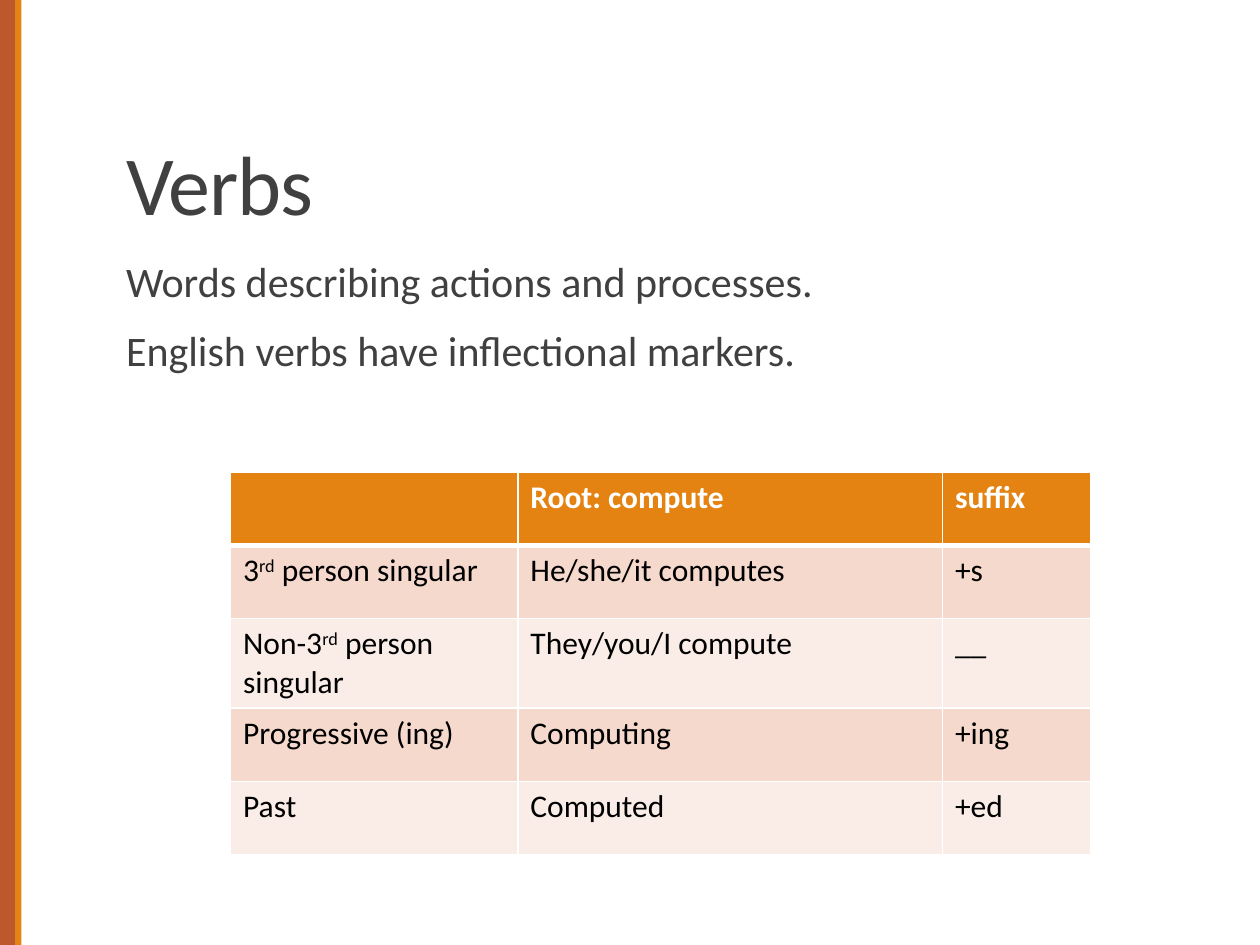
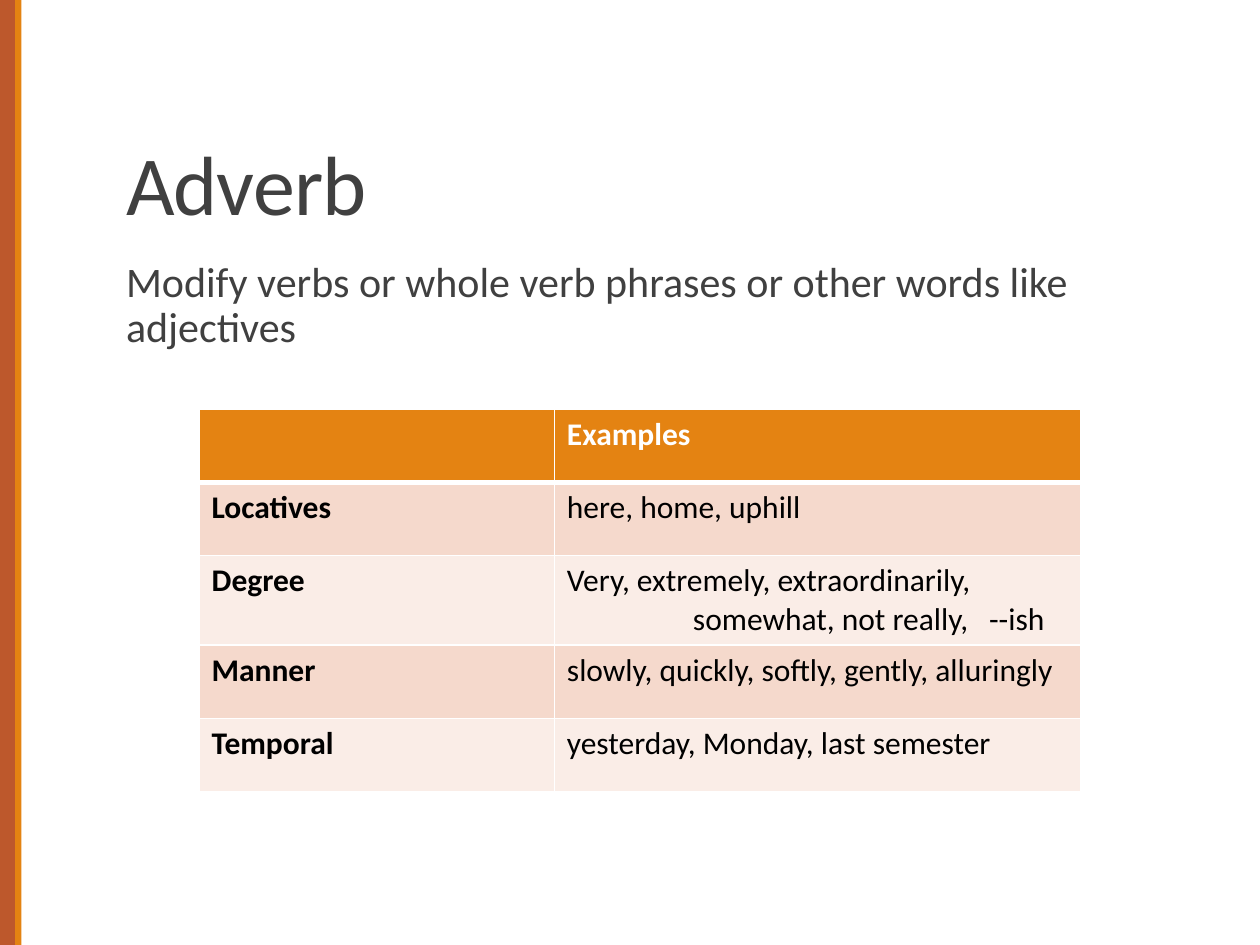
import pptx
import pptx.util
import pptx.dml.color
import pptx.enum.shapes
import pptx.enum.text
import pptx.oxml
import pptx.oxml.ns
from lxml import etree

Inches, Pt = pptx.util.Inches, pptx.util.Pt

# Content: ^ marks the start and end of superscript text
SLIDES = [
    {
        "title": "Verbs",
        "body": ["Words describing actions and processes.",
                 "English verbs have inflectional markers."],
        "body_size": (5.68, 4.4),
        "table_at": (1.83, 3.75),
        "columns": [2.28, 3.37, 1.18],
        "bold_labels": False,
        "rows": [
            ["", "Root: compute", "suffix"],
            ["3^rd^ person singular", "He/she/it computes", "+s"],
            ["Non-3^rd^ person singular", "They/you/I compute", "__"],
            ["Progressive (ing)", "Computing", "+ing"],
            ["Past", "Computed", "+ed"],
        ],
    },
    {
        "title": "Adverb",
        "body": ["Modify verbs or whole verb phrases or other words like adjectives"],
        "body_size": (7.77, 0.98),
        "table_at": (1.58, 3.25),
        "columns": [2.82, 4.18],
        "bold_labels": True,
        "rows": [
            ["", "Examples"],
            ["Locatives", "here, home, uphill"],
            ["Degree", "Very, extremely, extraordinarily,\n\tsomewhat, not really,\t--ish"],
            ["Manner", "slowly, quickly, softly, gently, alluringly"],
            ["Temporal", "yesterday, Monday, last semester"],
        ],
    },
]

# Shared look
FONT = "Calibri"
RUST, ORANGE, WHITE, BLACK, GREY = "BD582C", "E48312", "FFFFFF", "000000", "404040"
ROW_FILLS = ["F5D9CC", "FAEDE7"]
BANDS = [(0, 0.12, RUST), (0.12, 0.05, ORANGE)]
ROW_HEIGHT = 0.58
TAB_STOPS = [1, 3.35]


def rgb(value):
    return pptx.dml.color.RGBColor.from_string(value)


def set_all(target, values):
    for name, value in values.items():
        setattr(target, name, value)


def add_xml(parent, tag, **attributes):
    return etree.SubElement(parent, pptx.oxml.ns.qn(tag),
                            {k: str(v) for k, v in attributes.items()})


def place(sp, left, top, width, height):
    set_all(sp, {"left": Inches(left), "top": Inches(top),
                 "width": Inches(width), "height": Inches(height)})


def add_run(p, text, size, color, bold=False):
    r = p.add_run()
    r.text = text
    set_all(r.font, {"name": FONT, "size": Pt(size), "bold": bold})
    r.font.color.rgb = rgb(color)
    return r


def add_bands(s):
    for left, width, color in BANDS:
        sp = s.shapes.add_shape(pptx.enum.shapes.MSO_SHAPE.RECTANGLE,
                                Inches(left), 0, Inches(width), Inches(7.5))
        sp.shadow.inherit = False
        sp.fill.solid()
        sp.fill.fore_color.rgb = rgb(color)
        sp.line.fill.background()


def fill_title(sp, text):
    place(sp, 0.9, 0.31, 8.25, 1.59)
    tf = sp.text_frame
    set_all(tf, {"vertical_anchor": pptx.enum.text.MSO_ANCHOR.BOTTOM,
                 "auto_size": pptx.enum.text.MSO_AUTO_SIZE.NONE, "word_wrap": True})
    p = tf.paragraphs[0]
    set_all(p, {"alignment": pptx.enum.text.PP_ALIGN.LEFT, "line_spacing": 0.85})
    r = add_run(p, text, 48, GREY)
    r._r.get_or_add_rPr().set("spc", "-50")


def fill_body(sp, lines, size):
    place(sp, 0.9, 2.02, *size)
    tf = sp.text_frame
    set_all(tf, {"margin_left": 0, "margin_right": 0, "word_wrap": True,
                 "auto_size": pptx.enum.text.MSO_AUTO_SIZE.NONE})
    for i, line in enumerate(lines):
        p = tf.add_paragraph() if i else tf.paragraphs[0]
        pPr = p._p.get_or_add_pPr()
        pPr.set("marL", str(Inches(0.1)))
        pPr.set("indent", str(-Inches(0.1)))
        add_xml(add_xml(pPr, "a:buClr"), "a:srgbClr", val=ORANGE)
        add_xml(pPr, "a:buChar", char=" ")
        set_all(p, {"line_spacing": 0.9, "space_before": Pt(12 if i else 0),
                    "space_after": Pt(2)})
        add_run(p, line, 24, GREY)


def fill_cell(cell, text, fill, color, bold, bottom):
    # Borders come before the fill in the cell properties
    tcPr = cell._tc.get_or_add_tcPr()
    for side, width in (("L", 1), ("R", 1), ("T", 1), ("B", bottom)):
        ln = add_xml(tcPr, f"a:ln{side}", w=Pt(width))
        add_xml(add_xml(ln, "a:solidFill"), "a:srgbClr", val=WHITE)
    cell.fill.solid()
    cell.fill.fore_color.rgb = rgb(fill)
    tf = cell.text_frame
    for i, line in enumerate(text.split("\n")):
        p = tf.add_paragraph() if i else tf.paragraphs[0]
        if "\t" in line:
            tabs = add_xml(p._p.get_or_add_pPr(), "a:tabLst")
            for stop in TAB_STOPS:
                add_xml(tabs, "a:tab", pos=Inches(stop), algn="l")
        for n, part in enumerate(line.split("^")):
            if part:
                r = add_run(p, part, 18, color, bold)
                if n % 2:
                    r._r.get_or_add_rPr().set("baseline", "30000")


def add_word_table(s, at, columns, rows, bold_labels):
    left, top = at
    table = s.shapes.add_table(len(rows), len(columns), Inches(left), Inches(top),
                               Inches(sum(columns)), Inches(ROW_HEIGHT * len(rows))).table
    for column, width in zip(table.columns, columns):
        column.width = Inches(width)
    for i, row in enumerate(rows):
        table.rows[i].height = Inches(ROW_HEIGHT)
        for j, text in enumerate(row):
            if i == 0:
                look = (ORANGE, WHITE, True, 3)
            else:
                look = (ROW_FILLS[(i - 1) % 2], BLACK, bold_labels and j == 0, 1)
            fill_cell(table.cell(i, j), text, *look)


def main():
    prs = pptx.Presentation()
    set_all(prs, {"slide_width": Inches(10), "slide_height": Inches(7.5)})
    for item in SLIDES:
        s = prs.slides.add_slide(prs.slide_layouts[1])
        s.background.fill.solid()
        s.background.fill.fore_color.rgb = rgb(WHITE)
        add_bands(s)
        fill_title(s.shapes.title, item["title"])
        fill_body(s.placeholders[1], item["body"], item["body_size"])
        add_word_table(s, item["table_at"], item["columns"], item["rows"],
                       item["bold_labels"])
    prs.save("out.pptx")


if __name__ == "__main__":
    main()
